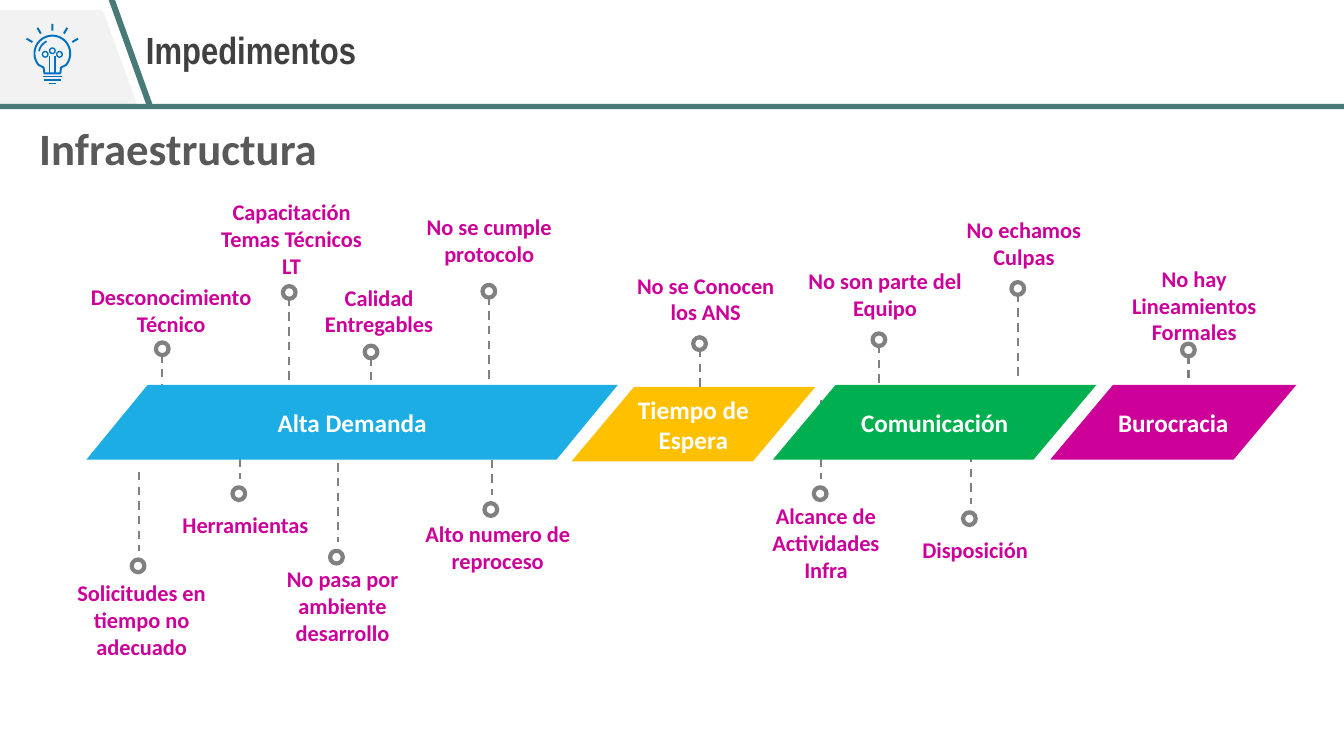
"""Build the slide of infrastructure impediments."""
from math import cos, radians, sin

from lxml import etree
from pptx import Presentation
from pptx.dml.color import RGBColor
from pptx.enum.dml import MSO_LINE
from pptx.enum.shapes import MSO_CONNECTOR, MSO_SHAPE
from pptx.enum.text import MSO_ANCHOR, MSO_AUTO_SIZE, PP_ALIGN
from pptx.oxml.ns import qn
from pptx.util import Cm, Pt

DASH = MSO_LINE.DASH
STRAIGHT = MSO_CONNECTOR.STRAIGHT
ELLIPSE = MSO_SHAPE.OVAL
RECTANGLE = MSO_SHAPE.RECTANGLE
PARALLELOGRAM = MSO_SHAPE.PARALLELOGRAM
MIDDLE = MSO_ANCHOR.MIDDLE
CENTER, LEFT = PP_ALIGN.CENTER, PP_ALIGN.LEFT
GROW = MSO_AUTO_SIZE.SHAPE_TO_FIT_TEXT

TEAL, GRAY, BLUE, MAGENTA, WHITE = "487B78", "808080", "0070C0", "CC0099", "FFFFFF"
SLIDE_W, SLIDE_H, HEADER_H = 33.87, 19.05, 2.62
PIN_LENGTH, DOT = 2.0, 0.32

# text, lines, pin x, pin tip y, label left, label top, label width
PINS_ABOVE = [
    ("Desconocimiento Técnico", 2, 4.09, 8.99, 1.70, 6.99, 5.23),
    ("Capacitación Temas Técnicos LT", 3, 7.29, 7.57, 5.18, 4.85, 4.34),
    ("Calidad Entregables", 2, 9.35, 9.07, 7.65, 7.01, 3.81),
    ("No se cumple protocolo", 2, 12.32, 7.54, 9.75, 5.23, 5.16),
    ("No se Conocen los ANS", 2, 17.63, 8.86, 15.60, 6.71, 4.37),
    ("No son parte del Equipo", 2, 22.15, 8.76, 20.12, 6.60, 4.37),
    ("No echamos Culpas", 2, 25.65, 7.47, 23.62, 5.31, 4.37),
    ("No hay Lineamientos Formales", 3, 29.95, 9.02, 27.91, 6.53, 4.37),
]
PINS_BELOW = [
    ("Solicitudes en tiempo no adecuado", 3, 3.51, 13.89, 1.12, 14.45, 4.90),
    ("Herramientas", 1, 6.05, 12.07, 4.32, 12.75, 3.73),
    ("No pasa por ambiente desarrollo", 3, 8.51, 13.67, 6.35, 14.10, 4.57),
    ("Alto numero de reproceso", 2, 12.40, 12.47, 10.26, 12.98, 4.57),
    ("Alcance de Actividades Infra", 3, 20.70, 12.07, 18.87, 12.52, 3.89),
    ("Disposición", 1, 24.46, 12.70, 22.71, 13.39, 3.73),
]
# text, left, top, width, slant, colour
BANDS = [
    ("Alta Demanda", 2.18, 9.70, 13.39, 0.82, "1CADE4"),
    ("Tiempo de Espera", 14.40, 9.75, 6.15, 0.84, "FFC000"),
    ("Comunicación", 19.48, 9.70, 8.15, 0.84, "00B050"),
    ("Burocracia", 26.47, 9.70, 6.20, 0.84, MAGENTA),
]
BAND_H = 1.88


def rgb(color):
    """Turn a hex string into a colour."""
    return RGBColor.from_string(color)


def paint(sp, fill=None, line=None, width=1.0):
    """Set fill and outline, leaving out whichever is not given."""
    sp.shadow.inherit = False
    if fill:
        sp.fill.solid()
        sp.fill.fore_color.rgb = rgb(fill)
    else:
        sp.fill.background()
    if line:
        sp.line.color.rgb = rgb(line)
        sp.line.width = Pt(width)
    else:
        sp.line.fill.background()


def write(sp, text, size=16, color=MAGENTA, font="Calibri", align=CENTER,
          wrap=True, spacing=None):
    """Put one bold paragraph into a shape."""
    tf = sp.text_frame
    tf.word_wrap = wrap
    tf.vertical_anchor = MIDDLE
    p = tf.paragraphs[0]
    p.alignment = align
    p.line_spacing = spacing
    r = p.add_run()
    r.text = text
    r.font.size, r.font.bold, r.font.name = Pt(size), True, font
    r.font.color.rgb = rgb(color)
    return tf


def add_box(s, x, y, w, h):
    """Add an empty text box."""
    return s.shapes.add_textbox(Cm(x), Cm(y), Cm(w), Cm(h))


def add_preset(s, kind, x, y, w, h, **look):
    """Add a preset shape with its fill and outline."""
    sp = s.shapes.add_shape(kind, Cm(x), Cm(y), Cm(w), Cm(h))
    paint(sp, **look)
    return sp


def add_outline(s, points, close=True, **look):
    """Add a freeform through the given points."""
    points = [(Cm(x), Cm(y)) for x, y in points]
    builder = s.shapes.build_freeform(*points[0])
    builder.add_line_segments(points[1:], close=close)
    paint(builder.convert_to_shape(), **look)


def add_line(s, x1, y1, x2, y2, color, width, dash=None):
    """Add a straight line without shadow."""
    line = s.shapes.add_connector(STRAIGHT, Cm(x1), Cm(y1), Cm(x2), Cm(y2))
    line.line.color.rgb = rgb(color)
    line.line.width = Pt(width)
    line.line.dash_style = dash
    etree.SubElement(line._element.spPr, qn("a:effectLst"))


def arc(cx, cy, radius, start, end, step=5):
    """List points along a circle, angles in degrees clockwise."""
    return [(cx + radius * cos(radians(a)), cy + radius * sin(radians(a)))
            for a in range(start, end + 1, step)]


def add_bulb(s, cx=1.32, cy=1.35):
    """Draw the light bulb with its filament, base and rays."""
    glass = arc(cx, cy, 0.45, 140, 400)
    neck = [(cx + 0.22, 1.70), (cx + 0.20, 1.85), (cx - 0.20, 1.85), (cx - 0.22, 1.70)]
    add_outline(s, glass + neck, line=BLUE, width=1.4)
    add_outline(s, arc(cx, cy, 0.34, 190, 245), close=False, line=BLUE, width=1.2)
    for dx, dy in [(-0.18, 0.02), (0, -0.07), (0.18, 0.02)]:
        add_preset(s, ELLIPSE, cx + dx - 0.07, cy + dy - 0.07, 0.14, 0.14, line=BLUE)
    for dx in (-0.07, 0.07):
        add_line(s, cx + dx, cy + 0.07, cx + dx, 1.85, BLUE, 1)
    for y, half in [(1.93, 0.24), (2.01, 0.22), (2.10, 0.09)]:
        add_line(s, cx - half, y, cx + half, y, BLUE, 1.2)
    for angle in (210, 240, 270, 300, 330):
        (x1, y1), (x2, y2) = (arc(cx, cy, radius, angle, angle)[0]
                              for radius in (0.58, 0.75))
        add_line(s, x1, y1, x2, y2, BLUE, 1.4)


def add_header(s):
    """Draw the header band, its icon and the title."""
    add_outline(s, [(0, 0.25), (2.59, 0.25), (3.45, HEADER_H), (0, HEADER_H)],
                fill="F2F2F2")
    add_bulb(s)
    add_preset(s, RECTANGLE, 0, HEADER_H, SLIDE_W, 0.13, fill=TEAL)
    add_outline(s, [(2.74, 0), (2.90, 0), (3.84, HEADER_H), (3.68, HEADER_H)],
                fill=TEAL)
    tf = write(add_box(s, 3.23, 0, 23.55, HEADER_H), "Impedimentos", size=27,
               color="404040", font="Arial Narrow", align=LEFT, spacing=0.9)
    tf.margin_left = Cm(0.45)


def add_pin(s, text, lines, x, y, left, top, width, above):
    """Draw a dashed pin with its ring and label."""
    start = y + PIN_LENGTH if above else y - PIN_LENGTH
    dot_x, dot_y = (x, y - 0.2) if above else (x - 0.03, y + 0.37)
    add_line(s, x, start, x, y, GRAY, 1.5, DASH)
    add_preset(s, ELLIPSE, dot_x - DOT / 2, dot_y - DOT / 2, DOT, DOT,
               line=GRAY, width=3)
    tf = write(add_box(s, left, top, width, 0.25 + 0.69 * lines), text)
    tf.auto_size = GROW


def add_band(s, text, x, y, width, slant, color):
    """Draw one slanted stage of the timeline."""
    sp = add_preset(s, PARALLELOGRAM, x, y, width, BAND_H, fill=color)
    sp.adjustments[0] = slant
    write(sp, text, size=18, color=WHITE)


def main():
    """Build and save the slide."""
    prs = Presentation()
    prs.slide_width, prs.slide_height = Cm(SLIDE_W), Cm(SLIDE_H)
    s = prs.slides.add_slide(prs.slide_layouts[6])
    add_header(s)
    tf = write(add_box(s, 0.74, 2.90, 7.57, 1.63), "Infraestructura", size=32,
               color="595959", align=LEFT, wrap=False)
    tf.auto_size = GROW
    for pins, above in [(PINS_ABOVE, True), (PINS_BELOW, False)]:
        for pin in pins:
            add_pin(s, *pin, above=above)
    for band in BANDS:
        add_band(s, *band)
    prs.save("out.pptx")


if __name__ == "__main__":
    main()
